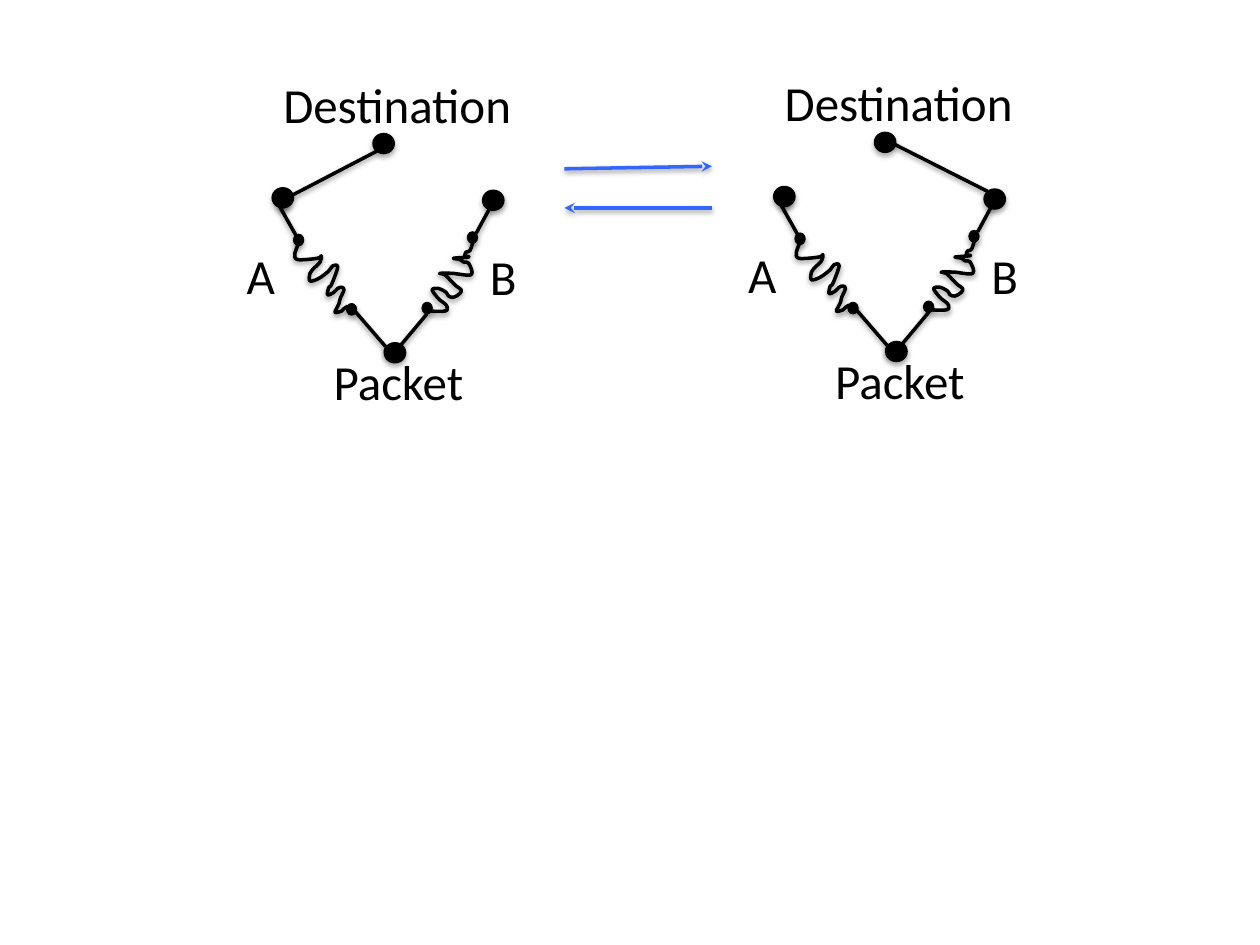
from dataclasses import dataclass

import lxml.etree
import pptx
import pptx.dml.color
import pptx.enum.shapes
import pptx.enum.text
import pptx.oxml.ns
import pptx.shapes.base
import pptx.slide
import pptx.util

Inches = pptx.util.Inches
Pt = pptx.util.Pt
qn = pptx.oxml.ns.qn
Point = tuple[float, float]

COLORS = {"ink": "000000", "arrow": "3366FF"}


@dataclass(frozen=True)
class Label:
    text: str
    left: float
    top: float
    width: float


@dataclass(frozen=True)
class Line:
    start: Point
    end: Point
    color: str = "ink"
    arrow: bool = False


@dataclass(frozen=True)
class Network:
    offset: Point
    route: Line


LABELS = [
    Label("Destination", 2.15, 0.54, 2.04),
    Label("Packet", 2.55, 2.74, 1.26),
    Label("A", 1.86, 1.9, 0.43),
    Label("B", 3.79, 1.91, 0.42),
]
SMALL_DOTS = [(2.21, 1.56), (2.33, 1.86), (2.75, 2.41), (3.35, 2.4),
              (3.71, 1.84), (3.9, 1.53), (3.05, 2.74)]
LARGE_DOTS = [(2.96, 1.06), (2.16, 1.49), (3.83, 1.51), (3.05, 2.72)]
LINKS = [
    Line((2.35, 1.87), (2.22, 1.64)),
    Line((3.06, 2.75), (2.8, 2.45)),
    Line((3.13, 2.8), (3.39, 2.49)),
    Line((3.78, 1.85), (3.91, 1.61)),
]
COIL_A = [
    (2.37, 1.93), (2.35, 1.98), (2.34, 2.01), (2.36, 2.06), (2.52, 2.05),
    (2.55, 2.03), (2.54, 2.08), (2.48, 2.14), (2.46, 2.17), (2.46, 2.23),
    (2.53, 2.21), (2.61, 2.15), (2.64, 2.11), (2.68, 2.12), (2.63, 2.26),
    (2.61, 2.28), (2.6, 2.34), (2.65, 2.32), (2.68, 2.29), (2.71, 2.28),
    (2.73, 2.3), (2.7, 2.37), (2.69, 2.41), (2.67, 2.45), (2.66, 2.48),
    (2.71, 2.47), (2.73, 2.45), (2.76, 2.43),
]
COIL_B = [
    (3.76, 1.9), (3.73, 1.99), (3.7, 2), (3.69, 2.03), (3.72, 2.04),
    (3.6, 2.05), (3.65, 2.06), (3.68, 2.08), (3.72, 2.09), (3.74, 2.18),
    (3.59, 2.17), (3.49, 2.17), (3.53, 2.18), (3.58, 2.23), (3.62, 2.27),
    (3.66, 2.3), (3.65, 2.33), (3.6, 2.36), (3.56, 2.35), (3.54, 2.32),
    (3.48, 2.29), (3.43, 2.3), (3.47, 2.36), (3.49, 2.38), (3.54, 2.42),
    (3.55, 2.45), (3.53, 2.47), (3.41, 2.47),
]
NETWORKS = [
    Network((0, 0), Line((2.28, 1.57), (2.99, 1.2))),
    Network((3.98, -0.01), Line((3.86, 1.53), (2.99, 1.09))),
]
ARROWS = [
    Line((4.48, 1.34), (5.65, 1.32), "arrow", True),
    Line((5.65, 1.65), (4.48, 1.65), "arrow", True),
]


def color_of(name: str) -> pptx.dml.color.RGBColor:
    return pptx.dml.color.RGBColor.from_string(COLORS[name])


def move(point: Point, offset: Point) -> Point:
    return point[0] + offset[0], point[1] + offset[1]


def add_shadow(shape: pptx.shapes.base.BaseShape, distance: float, opacity: int) -> None:
    properties = shape._element.spPr
    effects = properties.find(qn("a:effectLst"))
    if effects is None:
        effects = lxml.etree.SubElement(properties, qn("a:effectLst"))
    shadow = lxml.etree.SubElement(
        effects, qn("a:outerShdw"), blurRad=str(Pt(3.1)), dist=str(Pt(distance)),
        dir="5400000", rotWithShape="0")
    color = lxml.etree.SubElement(shadow, qn("a:srgbClr"), val=COLORS["ink"])
    lxml.etree.SubElement(color, qn("a:alpha"), val=str(opacity * 1000))


def add_label(slide: pptx.slide.Slide, label: Label, offset: Point) -> None:
    left, top = move((label.left, label.top), offset)
    box = slide.shapes.add_textbox(Inches(left), Inches(top), Inches(label.width), Inches(0.57))
    frame = box.text_frame
    frame.word_wrap = False
    frame.auto_size = pptx.enum.text.MSO_AUTO_SIZE.SHAPE_TO_FIT_TEXT
    frame.text = label.text
    font = frame.paragraphs[0].font
    font.name = "Calibri"
    font.size = Pt(28)
    font.color.rgb = color_of("ink")


def add_dot(slide: pptx.slide.Slide, corner: Point, width: float, height: float) -> None:
    dot = slide.shapes.add_shape(
        pptx.enum.shapes.MSO_SHAPE.OVAL, *map(Inches, corner), Inches(width), Inches(height))
    dot.fill.solid()
    dot.fill.fore_color.rgb = color_of("ink")
    dot.line.color.rgb = color_of("ink")
    dot.line.width = Pt(0.75)
    dot.shadow.inherit = False
    add_shadow(dot, 1.8, 35)


def add_line(slide: pptx.slide.Slide, line: Line, offset: Point = (0, 0)) -> None:
    ends = move(line.start, offset) + move(line.end, offset)
    connector = slide.shapes.add_connector(
        pptx.enum.shapes.MSO_CONNECTOR.STRAIGHT, *map(Inches, ends))
    connector.line.color.rgb = color_of(line.color)
    connector.line.width = Pt(2)
    if line.arrow:
        outline = connector._element.spPr.find(qn("a:ln"))
        lxml.etree.SubElement(outline, qn("a:tailEnd"), type="stealth", w="med", len="med")
    add_shadow(connector, 1.6, 38)


def smooth_segments(shape: pptx.shapes.base.BaseShape) -> None:
    nodes = [(int(node.get("x")), int(node.get("y"))) for node in shape._element.iter(qn("a:pt"))]
    padded = [nodes[0], *nodes, nodes[-1]]
    for index, segment in enumerate(list(shape._element.iter(qn("a:lnTo")))):
        before, start, end, after = padded[index:index + 4]
        first = [s + (e - b) / 6 for b, s, e in zip(before, start, end)]
        second = [e - (a - s) / 6 for s, e, a in zip(start, end, after)]
        curve = lxml.etree.Element(qn("a:cubicBezTo"))
        for x, y in (first, second, end):
            lxml.etree.SubElement(curve, qn("a:pt"), x=str(round(x)), y=str(round(y)))
        segment.getparent().replace(segment, curve)


def add_coil(slide: pptx.slide.Slide, points: list[Point], offset: Point) -> None:
    nodes = [tuple(map(Inches, move(point, offset))) for point in points]
    builder = slide.shapes.build_freeform(*nodes[0])
    builder.add_line_segments(nodes[1:], close=False)
    coil = builder.convert_to_shape()
    smooth_segments(coil)
    coil.fill.background()
    coil.line.color.rgb = color_of("ink")
    coil.line.width = Pt(2)
    coil.shadow.inherit = False
    add_shadow(coil, 1.6, 38)


def add_network(slide: pptx.slide.Slide, network: Network) -> None:
    for corner in SMALL_DOTS:
        add_dot(slide, move(corner, network.offset), 0.08, 0.09)
    for link in [network.route, *LINKS]:
        add_line(slide, link, network.offset)
    for points in (COIL_A, COIL_B):
        add_coil(slide, points, network.offset)
    for corner in LARGE_DOTS:
        add_dot(slide, move(corner, network.offset), 0.17, 0.16)
    for label in LABELS:
        add_label(slide, label, network.offset)


presentation = pptx.Presentation()
presentation.slide_width = Inches(10)
presentation.slide_height = Inches(7.5)
slide = presentation.slides.add_slide(presentation.slide_layouts[6])
for network in NETWORKS:
    add_network(slide, network)
for arrow in ARROWS:
    add_line(slide, arrow)
presentation.save("out.pptx")
